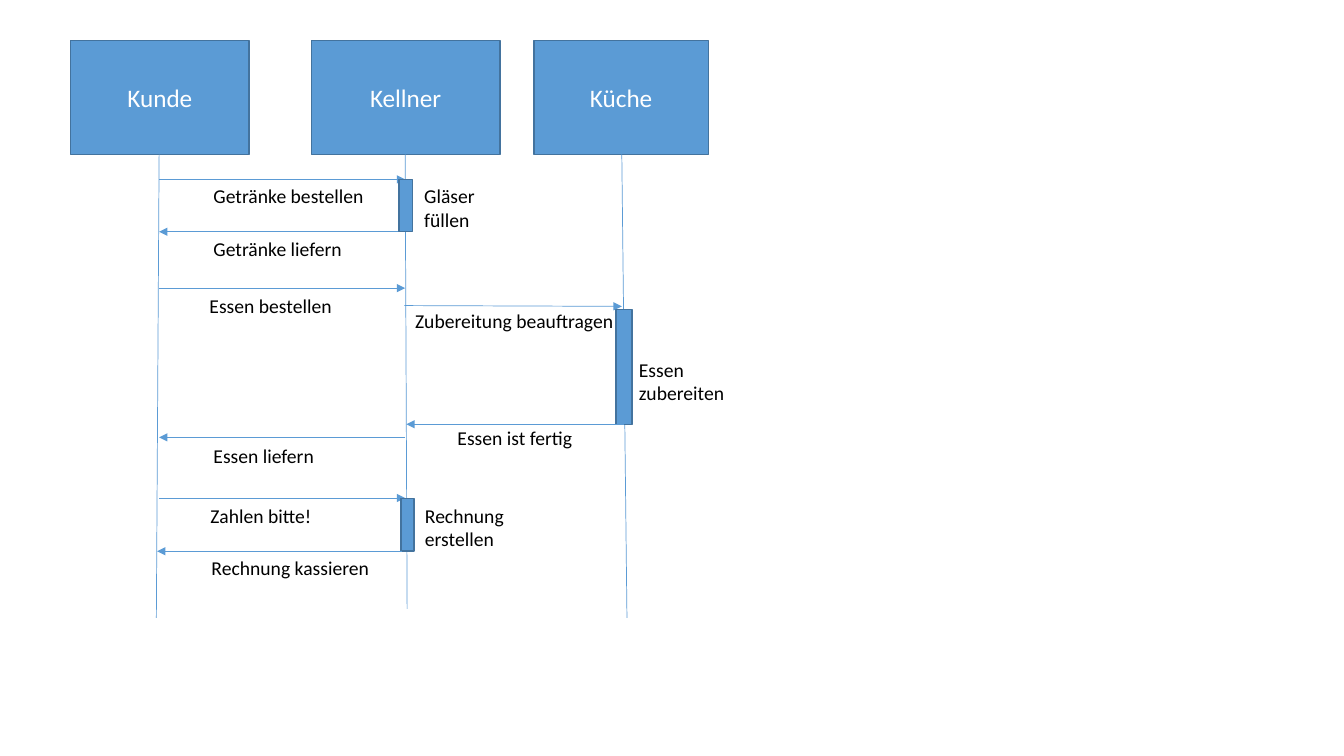
from dataclasses import dataclass
from lxml.etree import SubElement
from pptx import Presentation
from pptx.dml.color import RGBColor
from pptx.enum.shapes import MSO_CONNECTOR, MSO_SHAPE
from pptx.enum.text import MSO_ANCHOR, MSO_AUTO_SIZE, PP_ALIGN
from pptx.oxml.ns import qn
from pptx.shapes.shapetree import SlideShapes
from pptx.util import Cm, Pt

BLUE, EDGE, WHITE, BLACK = "5B9BD5", "43739E", "FFFFFF", "000000"
GUEST, WAITER, KITCHEN = 4.01, 10.21, 15.67
HEAD_TOP, HEAD_TALL = 1.02, 2.87
FOOT = HEAD_TOP + HEAD_TALL
ROW = 0.59
PAD = 0.27

HEAD_FONT = {"name": "Calibri", "size": Pt(18)}
NOTE_FONT = {"name": "Calibri", "size": Pt(14)}
HEAD_FRAME = {"word_wrap": True, "vertical_anchor": MSO_ANCHOR.MIDDLE}
NOTE_FRAME = {"word_wrap": False, "auto_size": MSO_AUTO_SIZE.SHAPE_TO_FIT_TEXT}


@dataclass
class Box:
    left: float
    top: float
    width: float
    height: float
    text: str = ""


@dataclass
class Line:
    left: float
    top: float
    right: float
    end: float
    arrow: bool = True


@dataclass
class Note:
    left: float
    top: float
    width: float
    text: str


Item = Box | Line | Note

HEADS = [
    Box(1.78, HEAD_TOP, 4.5, HEAD_TALL, "Kunde"),
    Box(7.85, HEAD_TOP, 4.75, HEAD_TALL, "Kellner"),
    Box(13.46, HEAD_TOP, 4.39, HEAD_TALL, "Küche"),
]
LIVES = [
    Line(GUEST, FOOT, 3.94, 15.57, False),
    Line(WAITER, FOOT, 10.26, 15.34, False),
    Line(KITCHEN, FOOT, 15.8, 15.57, False),
]
DRINKS = [
    Line(GUEST, 4.52, WAITER, 4.52),
    Note(5.13, 4.52, 4.34, "Getränke bestellen"),
    Note(5.13, 5.84, 3.78, "Getränke liefern"),
    Line(WAITER, 5.84, GUEST, 5.84),
    Box(10.06, 4.52, 0.33, 1.32),
    Note(10.44, 4.52, 1.8, "Gläser\nfüllen"),
]
MEAL = [
    Line(GUEST, 7.26, WAITER, 7.26),
    Note(5.03, 7.29, 3.63, "Essen bestellen"),
    Line(10.19, 7.7, KITCHEN, 7.72),
    Note(10.21, 7.67, 5.59, "Zubereitung beauftragen"),
    Box(15.52, 7.8, 0.41, 2.9),
    Note(15.85, 8.89, 2.69, "Essen\nzubereiten"),
    Line(15.72, 10.69, 10.24, 10.69),
    Note(11.28, 10.62, 3.45, "Essen ist fertig"),
    Note(5.13, 11.05, 3.07, "Essen liefern"),
    Line(WAITER, 11.02, GUEST, 11.02),
]
BILL = [
    Line(GUEST, 12.55, WAITER, 12.55),
    Note(5.05, 12.57, 3.1, "Zahlen bitte!"),
    Box(10.11, 12.57, 0.33, 1.32),
    Note(10.46, 12.57, 2.51, "Rechnung\nerstellen"),
    Note(5.08, 13.89, 4.52, "Rechnung kassieren"),
    Line(10.13, 13.89, 3.96, 13.89),
]


def tint(code: str) -> RGBColor:
    return RGBColor.from_string(code)


def apply(target: object, values: dict) -> None:
    for key, value in values.items():
        setattr(target, key, value)


def write(frame, text: str, font: dict, color: str, align: PP_ALIGN) -> None:
    frame.text = text
    for para in frame.paragraphs:
        para.alignment = align
        for run in para.runs:
            apply(run.font, font)
            run.font.color.rgb = tint(color)


def draw_box(shapes: SlideShapes, box: Box) -> None:
    shape = shapes.add_shape(
        MSO_SHAPE.RECTANGLE, Cm(box.left), Cm(box.top), Cm(box.width), Cm(box.height)
    )
    shape.shadow.inherit = False
    shape.fill.solid()
    shape.fill.fore_color.rgb = tint(BLUE)
    shape.line.color.rgb = tint(EDGE)
    shape.line.width = Pt(1)
    if box.text:
        apply(shape.text_frame, HEAD_FRAME)
        write(shape.text_frame, box.text, HEAD_FONT, WHITE, PP_ALIGN.CENTER)


def draw_line(shapes: SlideShapes, line: Line) -> None:
    link = shapes.add_connector(
        MSO_CONNECTOR.STRAIGHT, Cm(line.left), Cm(line.top), Cm(line.right), Cm(line.end)
    )
    link.line.color.rgb = tint(BLUE)
    link.line.width = Pt(0.5)
    if line.arrow:
        SubElement(link.line._get_or_add_ln(), qn("a:tailEnd"), type="triangle")
    SubElement(link._element.spPr, qn("a:effectLst"))


def draw_note(shapes: SlideShapes, note: Note) -> None:
    height = PAD + ROW * len(note.text.split("\n"))
    field = shapes.add_textbox(Cm(note.left), Cm(note.top), Cm(note.width), Cm(height))
    apply(field.text_frame, NOTE_FRAME)
    write(field.text_frame, note.text, NOTE_FONT, BLACK, PP_ALIGN.LEFT)


def draw(shapes: SlideShapes, item: Item) -> None:
    tools = {Box: draw_box, Line: draw_line, Note: draw_note}
    tools[type(item)](shapes, item)


def main() -> None:
    deck = Presentation()
    apply(deck, {"slide_width": Cm(33.87), "slide_height": Cm(19.05)})
    slide = deck.slides.add_slide(deck.slide_layouts[6])
    for item in [*HEADS, *LIVES, *DRINKS, *MEAL, *BILL]:
        draw(slide.shapes, item)
    deck.save("out.pptx")


if __name__ == "__main__":
    main()
